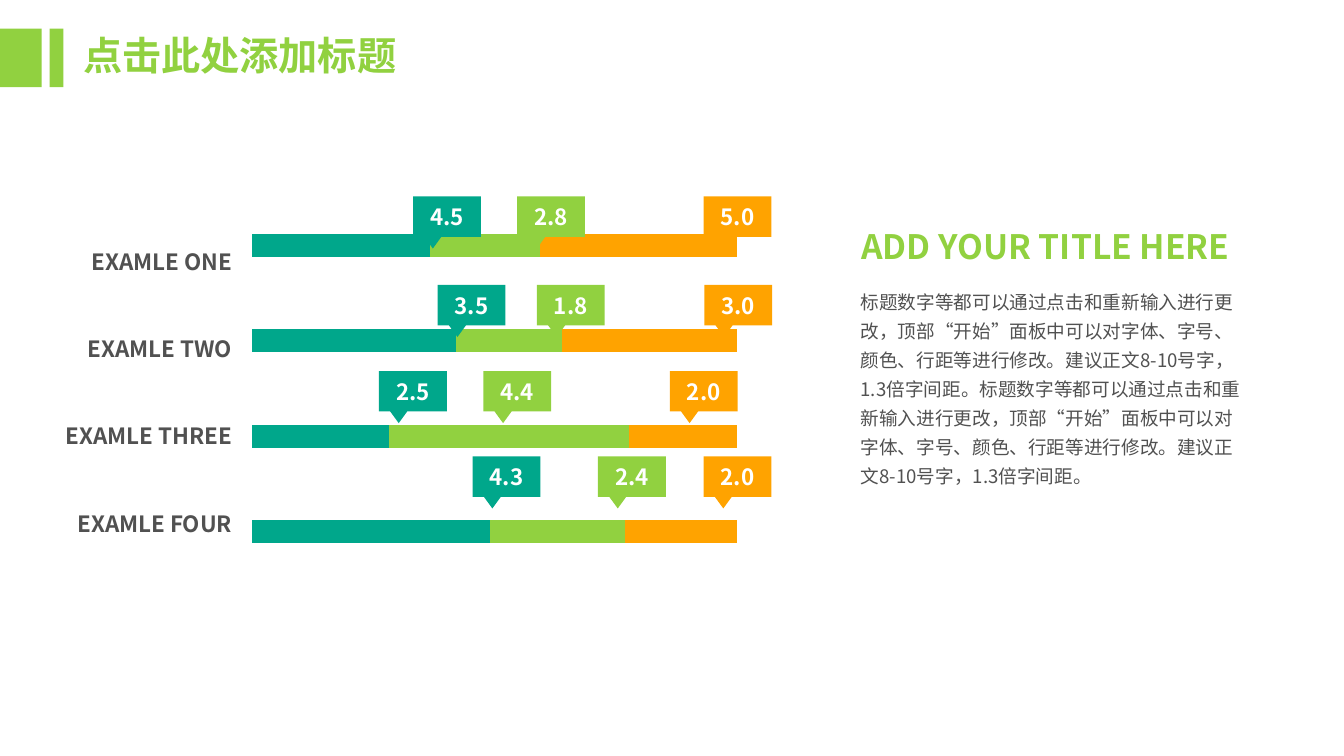
import pptx
import pptx.chart.data
import pptx.dml.color
import pptx.enum.chart
import pptx.enum.shapes
import pptx.enum.text
import pptx.oxml
import pptx.oxml.ns
import pptx.util
from dataclasses import dataclass

Cm = pptx.util.Cm
SHAPE = pptx.enum.shapes.MSO_SHAPE
ALIGN = pptx.enum.text.PP_ALIGN
ANCHOR = pptx.enum.text.MSO_ANCHOR


@dataclass(frozen=True)
class Theme:
    font: str = "Noto Sans CJK SC"
    chart_font: str = "Calibri"
    teal: str = "00A78B"
    green: str = "91D140"
    orange: str = "FFA300"
    grey: str = "515151"
    white: str = "FFFFFF"
    black: str = "000000"
    title: float = 28
    heading: float = 24
    label: float = 16
    body: float = 13.3
    chart: float = 10


THEME = Theme()
SERIES_COLORS = (THEME.teal, THEME.green, THEME.orange)

TITLE = "点击此处添加标题"
HEADING = "ADD YOUR TITLE HERE"
BODY = (
    "标题数字等都可以通过点击和重新输入进行更改，顶部“开始”面板中可以对字体、字号、颜色、行距等进行修改。"
    "建议正文8-10号字，1.3倍字间距。"
) * 2

# Bars from the bottom up
CATEGORIES = ["1", "2", "3", "4"]
SERIES = {
    "Series 1": (49, 28, 42, 37),
    "Series 2": (28, 49, 22, 23),
    "Series 3": (23, 22, 36, 41),
}

# Rows from the top down: label, top of callouts, (callout text, left) per series
ROWS = [
    ("EXAMLE ONE", 4.95, [("4.5", 10.41), ("2.8", 13.03), ("5.0", 17.73)]),
    ("EXAMLE TWO", 7.18, [("3.5", 11.03), ("1.8", 13.53), ("3.0", 17.75)]),
    ("EXAMLE THREE", 9.35, [("2.5", 9.55), ("4.4", 12.18), ("2.0", 16.88)]),
    ("EXAMLE FOUR", 11.5, [("4.3", 11.91), ("2.4", 15.07), ("2.0", 17.73)]),
]
LABEL_TOP, LABEL_PITCH = 5.78, 2.2
CALLOUT_SIZE = (1.71, 1.02)
CALLOUT_TAIL = (-0.208, 0.788)


def rgb(color):
    return pptx.dml.color.RGBColor.from_string(color)


def box(left, top, width, height):
    return [Cm(v) for v in (left, top, width, height)]


def write(tf, text, size, color, bold=True, align=ALIGN.LEFT, spacing=None, anchor=ANCHOR.TOP):
    tf.word_wrap = True
    tf.auto_size = pptx.enum.text.MSO_AUTO_SIZE.NONE
    tf.vertical_anchor = anchor
    p = tf.paragraphs[0]
    p.alignment = align
    p.line_spacing = spacing
    r = p.add_run()
    r.text = text
    r.font.size = pptx.util.Pt(size)
    r.font.bold = bold
    r.font.color.rgb = rgb(color)
    r.font.name = THEME.font
    ea = pptx.oxml.parse_xml(f'<a:ea {pptx.oxml.ns.nsdecls("a")} typeface="{THEME.font}"/>')
    r._r.get_or_add_rPr().append(ea)


def add_filled(s, kind, bounds, color):
    sp = s.shapes.add_shape(kind, *bounds)
    sp.shadow.inherit = False
    sp.fill.solid()
    sp.fill.fore_color.rgb = rgb(color)
    sp.line.fill.background()
    return sp


def add_text(s, bounds, text, size, color, **fmt):
    write(s.shapes.add_textbox(*bounds).text_frame, text, size, color, **fmt)


def add_bars(s):
    data = pptx.chart.data.CategoryChartData()
    data.categories = CATEGORIES
    for name, values in SERIES.items():
        data.add_series(name, values)
    kind = pptx.enum.chart.XL_CHART_TYPE.BAR_STACKED_100
    chart = s.shapes.add_chart(kind, *box(6.1, 4.78, 12.73, 10.03), data).chart
    chart.has_legend = False
    chart.has_title = False
    chart.font.name = THEME.chart_font
    chart.font.size = pptx.util.Pt(THEME.chart)
    chart.font.color.rgb = rgb(THEME.black)
    for axis in (chart.category_axis, chart.value_axis):
        axis.has_major_gridlines = False
        axis.visible = False
    plot = chart.plots[0]
    plot.vary_by_categories = False
    plot.gap_width = 315
    plot.overlap = 100
    for series, color in zip(plot.series, SERIES_COLORS):
        series.format.fill.solid()
        series.format.fill.fore_color.rgb = rgb(color)


def add_callout(s, left, top, text, color):
    sp = add_filled(s, SHAPE.RECTANGULAR_CALLOUT, box(left, top, *CALLOUT_SIZE), color)
    for i, offset in enumerate(CALLOUT_TAIL):
        sp.adjustments[i] = offset
    write(sp.text_frame, text, THEME.label, THEME.white,
          align=ALIGN.CENTER, anchor=ANCHOR.MIDDLE)


def main():
    prs = pptx.Presentation()
    prs.slide_width, prs.slide_height = Cm(33.87), Cm(19.05)
    s = prs.slides.add_slide(prs.slide_layouts[5])

    for left, width in ((0, 1.05), (1.25, 0.35)):
        add_filled(s, SHAPE.RECTANGLE, box(left, 0.72, width, 1.48), THEME.green)
    title = s.shapes.title
    title.left, title.top, title.width, title.height = box(1.84, 0.72, 8.58, 1.48)
    write(title.text_frame, TITLE, THEME.title, THEME.green, spacing=0.9, anchor=ANCHOR.MIDDLE)

    add_bars(s)
    for i, (label, top, callouts) in enumerate(ROWS):
        add_text(s, box(1.1, LABEL_TOP + i * LABEL_PITCH, 5, 1.27), label,
                 THEME.label, THEME.grey, align=ALIGN.RIGHT, spacing=1.5)
        for (text, left), color in zip(callouts, SERIES_COLORS):
            add_callout(s, left, top, text, color)

    add_text(s, box(21.46, 5.56, 10.36, 1.27), HEADING, THEME.heading, THEME.green)
    add_text(s, box(21.44, 7.04, 10.34, 5.44), BODY, THEME.body, THEME.grey,
             bold=False, spacing=1.3)
    prs.save("out.pptx")


if __name__ == "__main__":
    main()
